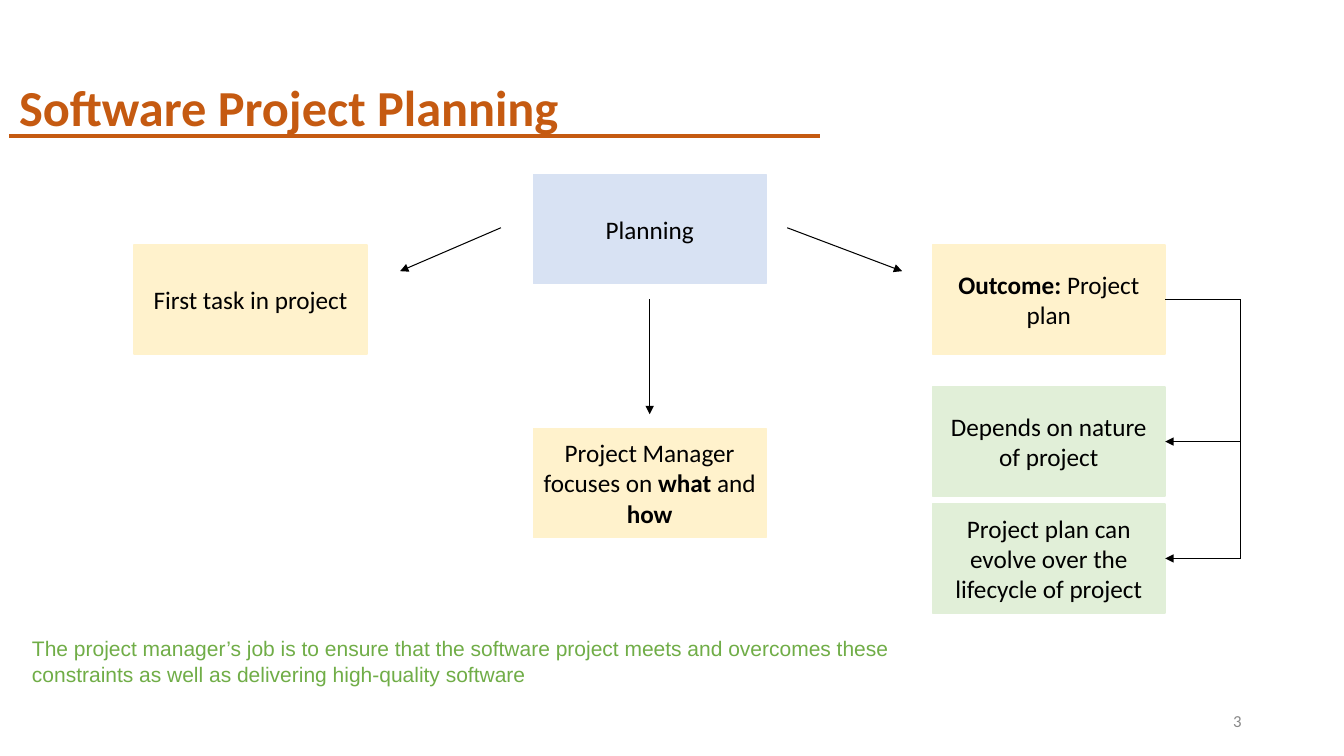
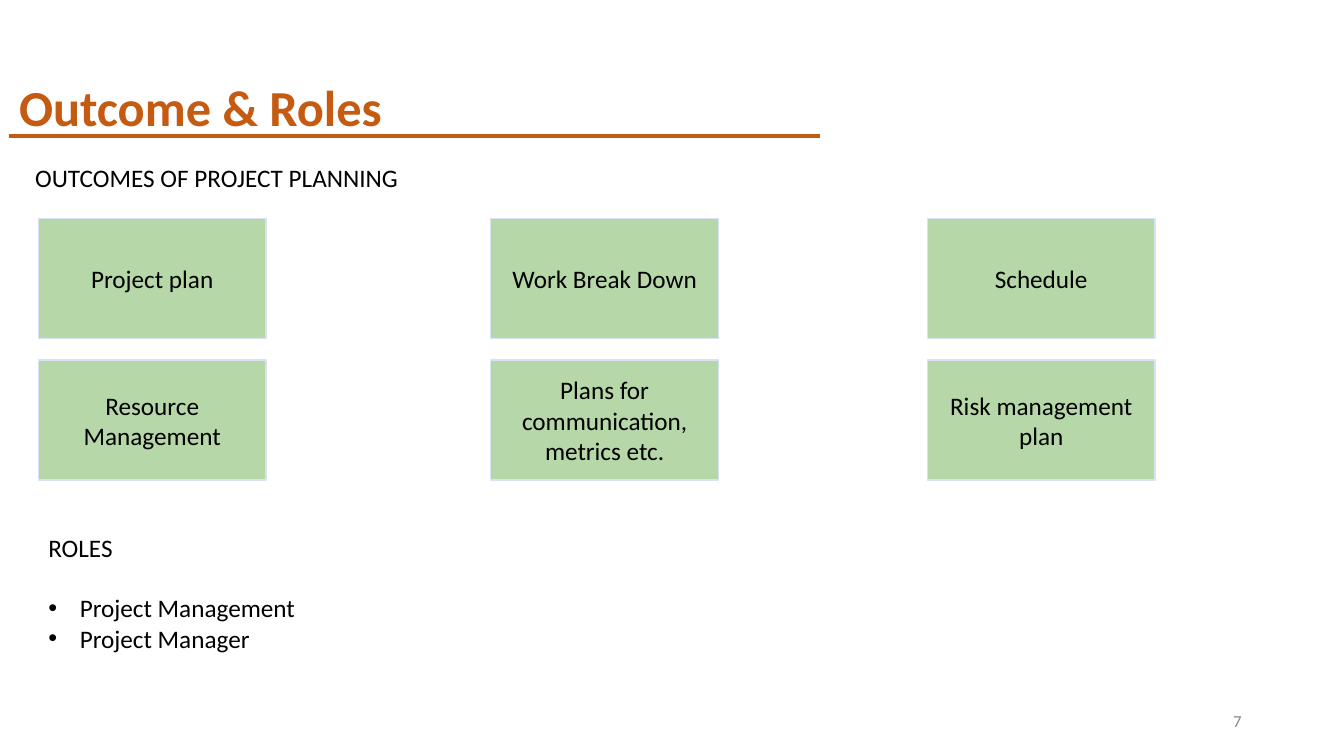
import pptx
import pptx.util
import pptx.dml.color
import pptx.enum.shapes
import pptx.enum.text
import pptx.oxml
import pptx.oxml.ns
from lxml import etree

Pt = pptx.util.Pt
RGB = pptx.dml.color.RGBColor
ALIGN = pptx.enum.text.PP_ALIGN
ANCHOR = pptx.enum.text.MSO_ANCHOR
qn = pptx.oxml.ns.qn

RUST = RGB(0xC5, 0x5A, 0x11)
BLACK = RGB(0, 0, 0)
GREY = RGB(0x88, 0x88, 0x88)
BLUE = RGB(0xD8, 0xE2, 0xF3)
CREAM = RGB(0xFF, 0xF2, 0xCC)
MINT = RGB(0xE1, 0xEF, 0xD8)
SAGE = RGB(0xB6, 0xD7, 0xA8)
GREEN = RGB(0x70, 0xAD, 0x47)


def add_runs(para, runs, size=18, color=BLACK, font="Calibri"):
    """Add (text, bold) pairs to a paragraph; a plain string is one regular run."""
    if isinstance(runs, str):
        runs = [(runs, False)]
    for text, bold in runs:
        run = para.add_run()
        run.text = text
        run.font.name = font
        run.font.size = Pt(size)
        run.font.bold = bold
        run.font.color.rgb = color


def add_text(slide, left, top, width, height, runs, align=ALIGN.LEFT,
             anchor=ANCHOR.TOP, **style):
    label = slide.shapes.add_textbox(Pt(left), Pt(top), Pt(width), Pt(height))
    frame = label.text_frame
    frame.word_wrap = True
    frame.vertical_anchor = anchor
    frame.paragraphs[0].alignment = align
    add_runs(frame.paragraphs[0], runs, **style)
    return frame


def add_box(slide, left, top, width, height, runs, fill, edge=None):
    box = slide.shapes.add_shape(pptx.enum.shapes.MSO_SHAPE.RECTANGLE,
                                 Pt(left), Pt(top), Pt(width), Pt(height))
    box.shadow.inherit = False
    box.fill.solid()
    box.fill.fore_color.rgb = fill
    box.line.color.rgb = edge or fill
    box.line.width = Pt(1)
    frame = box.text_frame
    frame.word_wrap = True
    frame.vertical_anchor = ANCHOR.MIDDLE
    frame.paragraphs[0].alignment = ALIGN.CENTER
    add_runs(frame.paragraphs[0], runs)
    return box


def add_line(slide, start, end, color=BLACK, width=0.75, arrow=False):
    line = slide.shapes.add_connector(pptx.enum.shapes.MSO_CONNECTOR.STRAIGHT,
                                      Pt(start[0]), Pt(start[1]), Pt(end[0]), Pt(end[1]))
    line.line.color.rgb = color
    line.line.width = Pt(width)
    props = line.element.spPr
    if arrow:
        etree.SubElement(props.find(qn("a:ln")), qn("a:tailEnd"), type="triangle")
    etree.SubElement(props, qn("a:effectLst"))
    return line


def add_bullet(frame, text, before=0):
    para = frame.add_paragraph()
    para.space_before = Pt(before)
    props = para._p.get_or_add_pPr()
    indent = Pt(22.5)
    props.set("marL", str(indent))
    props.set("indent", str(-indent))
    etree.SubElement(props, qn("a:buFont"), typeface="Arial")
    etree.SubElement(props, qn("a:buChar"), char="•")
    add_runs(para, text)


def new_slide(deck, title, number):
    """Add a blank slide with the shared title, rule and page number."""
    slide = deck.slides.add_slide(deck.slide_layouts[6])
    add_text(slide, 6.5, 51, 541, 36, [(title, True)], size=36, color=RUST)
    add_line(slide, (6.5, 97.2), (586, 97.2), RUST, 3)
    add_text(slide, 678, 500.4, 216, 28.8, number, ALIGN.RIGHT, ANCHOR.MIDDLE,
             size=12, color=GREY)
    return slide


def draw_plan(slide, left, top):
    """Draw the planning diagram with its top left corner at the given point."""
    wide, high, step = 166.3, 77.8, 285.1

    def place(col, down, runs, fill):
        return add_box(slide, left + col * step, top + down, wide, high, runs, fill)

    place(1, 0, "Planning", BLUE)
    place(0, 50.4, "First task in project", CREAM)
    place(1, 181.4, [("Project Manager focuses on ", False), ("what", True),
                     (" and ", False), ("how", True)], CREAM)
    outcome = place(2, 50.4, [("Outcome: ", True), ("Project plan", False)], CREAM)
    notes = [(151.9, "Depends on nature of project"),
             (235.4, "Project plan can evolve over the lifecycle of project")]

    side = left + 2 * step + wide
    spine = side + 54
    head = top + 50.4 + high / 2
    stub = add_line(slide, (side, head), (spine, head))
    stub.begin_connect(outcome, 3)
    for down, text in notes:
        note = place(2, down, text, MINT)
        mid = top + down + high / 2
        branch = add_line(slide, (spine, mid), (side, mid), arrow=True)
        branch.end_connect(note, 3)
    add_line(slide, (spine, head), (spine, mid))

    centre = step + wide / 2
    for x1, y1, x2, y2 in [(262, 38.1, 190, 69.1),
                           (centre, 89.2, centre, 171.3),
                           (466.5, 38.1, 548.6, 69.1)]:
        add_line(slide, (left + x1, top + y1), (left + x2, top + y2), arrow=True)


def draw_grid(slide, left, top):
    """Draw the outcome boxes with their top left corner at the given point."""
    rows = [["Project plan", "Work Break Down", "Schedule"],
            ["Resource Management", "Plans for communication, metrics etc.",
             "Risk management plan"]]
    for row, names in enumerate(rows):
        for across, name in zip((0, 323.2, 635), names):
            add_box(slide, left + across, top + row * 101, 162.7, 85.7,
                    name, SAGE, BLUE)


def draw_roles(slide, left, top):
    frame = add_text(slide, left, top, 193.7, 94.3, "ROLES")
    add_bullet(frame, "Project Management", before=21.6)
    add_bullet(frame, "Project Manager")


def main():
    deck = pptx.Presentation()
    deck.slide_width, deck.slide_height = Pt(960), Pt(540)

    plan = new_slide(deck, "Software Project Planning", "3")
    draw_plan(plan, 95.8, 124.6)
    add_text(plan, 15.8, 450.7, 656, 50,
             "The project manager’s job is to ensure that the software project meets "
             "and overcomes these constraints as well as delivering high-quality software",
             size=15, color=GREEN, font="Arial")

    roles = new_slide(deck, "Outcome & Roles", "7")
    add_text(roles, 18, 112.3, 313.2, 28.8, "OUTCOMES OF PROJECT PLANNING")
    draw_grid(roles, 27.4, 156.2)
    draw_roles(roles, 27.4, 376.6)

    deck.save("out.pptx")


if __name__ == "__main__":
    main()
